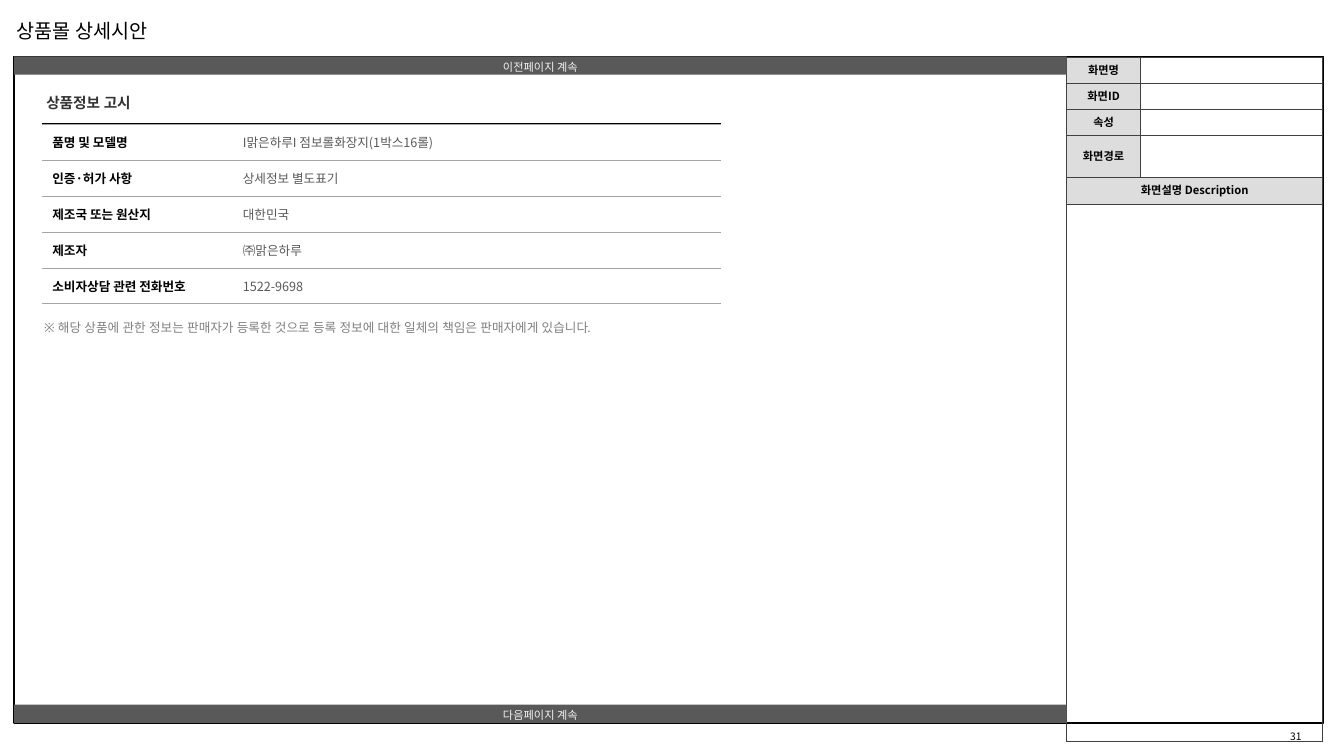
from lxml.etree import SubElement as Sub
from pptx import Presentation
from pptx.dml.color import RGBColor as RGB
from pptx.enum.shapes import MSO_CONNECTOR as LINK, MSO_SHAPE as SHAPE
from pptx.enum.text import MSO_ANCHOR as ANCHOR, PP_ALIGN as ALIGN
from pptx.oxml.ns import qn
from pptx.util import Pt

HEX = {
    "black": "000000", "bar": "595959", "pale": "F2F2F2", "head": "DDDDDD",
    "grid": "404040", "rule": "A6A6A6", "title": "333333", "note": "808080",
}
CJK, SANS = "Noto Sans CJK KR", "Noto Sans"


def write(frame, text, size, color, bold=False, face=CJK, align=ALIGN.LEFT,
          space=None, pad=(7.2, 3.6, 7.2, 3.6)):
    """Put one styled line of text in a frame; pad is left, top, right, bottom."""
    for side, gap in zip(("left", "top", "right", "bottom"), pad):
        setattr(frame, "margin_" + side, Pt(gap))
    par = frame.paragraphs[0]
    for key, value in {"alignment": align, "line_spacing": space}.items():
        setattr(par, key, value)
    run = par.add_run()
    run.text = text
    for key, value in {"size": Pt(size), "bold": bold, "name": face}.items():
        setattr(run.font, key, value)
    run.font.color.rgb = RGB.from_string(HEX[color])
    Sub(run.font._element, qn("a:ea"), typeface=face)


def style(cell, color, width, sides, fill=None):
    """Draw the borders named in sides, clear the others, then fill the cell."""
    props = cell._tc.get_or_add_tcPr()
    for side in "LRTB":
        edge = Sub(props, qn("a:ln" + side), w=str(Pt(width)))
        if side in sides:
            Sub(Sub(edge, qn("a:solidFill")), qn("a:srgbClr"), val=HEX[color])
        else:
            Sub(edge, qn("a:noFill"))
    if fill:
        cell.fill.solid()
        cell.fill.fore_color.rgb = RGB.from_string(HEX[fill])
    else:
        cell.fill.background()
    cell.vertical_anchor = ANCHOR.MIDDLE


deck = Presentation()
deck.slide_width, deck.slide_height = Pt(960), Pt(540)
slide = deck.slides.add_slide(deck.slide_layouts[6])
shapes = slide.shapes

# Page frame
frame = shapes.add_shape(SHAPE.RECTANGLE, Pt(10.1), Pt(40.3), Pt(935.3), Pt(475.9))
frame.shadow.inherit = False
frame.fill.background()
frame.line.color.rgb = RGB.from_string(HEX["black"])
frame.line.width = Pt(1.3)

# Side panel
rows = [("화면명", 18.6), ("화면ID", 18.6), ("속성", 18.6), ("화면경로", 30),
        ("화면설명 Description", 19.3), ("", 383.4)]
high = sum(tall for _, tall in rows)
panel = shapes.add_table(len(rows), 2, Pt(762), Pt(41), Pt(182.9), Pt(high)).table
panel.first_row = panel.horz_banding = False
for col, wide in zip(panel.columns, (52.6, 130.3)):
    col.width = Pt(wide)
for i, (label, tall) in enumerate(rows):
    panel.rows[i].height = Pt(tall)
    for j, cell in enumerate(panel.rows[i].cells):
        named = label and j == 0
        style(cell, "grid", 0.5, "LRTB", "head" if named else None)
        if named:
            write(cell.text_frame, label, 8, "black", True, align=ALIGN.CENTER,
                  space=0.8, pad=(2.9,) * 4)
        else:
            cell.margin_top = cell.margin_bottom = Pt(2.9)
            Sub(cell.text_frame.paragraphs[0]._p, qn("a:endParaRPr"), sz="800")
    if i > 3:
        panel.cell(i, 0).merge(panel.cell(i, 1))

# Bars at the foot and head of the page
for label, top in (("다음페이지 계속", 503.3), ("이전페이지 계속", 40.3)):
    bar = shapes.add_shape(SHAPE.RECTANGLE, Pt(10.1), Pt(top), Pt(751.9), Pt(13))
    bar.shadow.inherit = False
    bar.fill.solid()
    bar.fill.fore_color.rgb = RGB.from_string(HEX["bar"])
    bar.line.fill.background()
    bar.text_frame.vertical_anchor = ANCHOR.MIDDLE
    write(bar.text_frame, label, 8, "pale", align=ALIGN.CENTER, space=Pt(12),
          pad=(7.2, 3.6, 7.2, 4.3))

# Product facts
facts = [
    ("품명 및 모델명", "I맑은하루I 점보롤화장지(1박스16롤)"),
    ("인증·허가 사항", "상세정보 별도표기"),
    ("제조국 또는 원산지", "대한민국"),
    ("제조자", "㈜맑은하루"),
    ("소비자상담 관련 전화번호", "1522-9698"),
]
looks = [
    {"color": "black", "bold": True, "pad": (2.9, 0, 0, 0)},
    {"color": "bar", "pad": (7.2, 4.3, 7.2, 4.3)},
]
table = shapes.add_table(len(facts), 2, Pt(30.2), Pt(88.9), Pt(484.6), Pt(128)).table
table.first_row = table.horz_banding = False
for col, wide in zip(table.columns, (136.1, 348.5)):
    col.width = Pt(wide)
for row, fact in zip(table.rows, facts):
    row.height = Pt(25.6)
    for cell, text, look in zip(row.cells, fact, looks):
        style(cell, "rule", 0.25, "TB")
        write(cell.text_frame, text, 9, **look)

rule = shapes.add_connector(LINK.STRAIGHT, Pt(30.2), Pt(88.2), Pt(514.8), Pt(88.2))
rule.line.color.rgb = RGB.from_string(HEX["black"])
rule.line.width = Pt(0.5)
Sub(rule._element.spPr, qn("a:effectLst"))

# Free texts
texts = [
    ((5, 10.1, 115.2, 24.5), False, ANCHOR.TOP,
     {"text": "상품몰 상세시안", "size": 14, "color": "black"}),
    ((30.2, 63.4, 82.8, 20.2), True, ANCHOR.TOP,
     {"text": "상품정보 고시", "size": 10.5, "color": "title", "bold": True,
      "face": SANS, "pad": (2.9, 3.6, 7.2, 3.6)}),
    ((24.5, 224.6, 480.2, 18), True, ANCHOR.TOP,
     {"text": "※ 해당 상품에 관한 정보는 판매자가 등록한 것으로 등록 정보에 대한 "
              "일체의 책임은 판매자에게 있습니다.",
      "size": 9, "color": "note", "face": SANS}),
    ((900.7, 511.9, 49.7, 28.1), True, ANCHOR.MIDDLE,
     {"text": "31", "size": 7.3, "color": "black", "align": ALIGN.CENTER,
      "pad": (5.8, 2.9, 5.8, 2.9)}),
]
for place, wrap, anchor, look in texts:
    body = shapes.add_textbox(*map(Pt, place)).text_frame
    body.word_wrap = wrap
    body.vertical_anchor = anchor
    write(body, **look)

deck.save("out.pptx")
